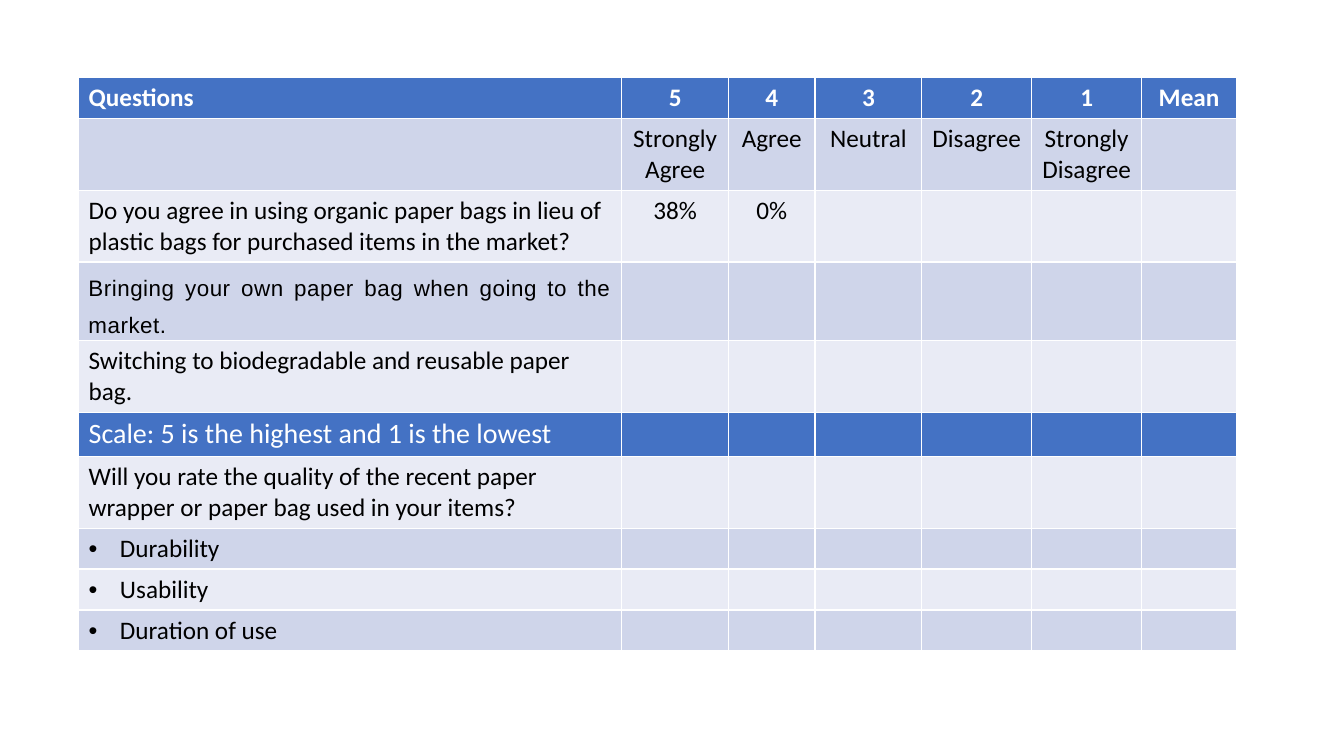
from pptx import Presentation
from pptx.dml.color import RGBColor
from pptx.enum.text import MSO_ANCHOR, PP_ALIGN
from pptx.oxml.ns import qn
from pptx.util import Cm, Pt
from lxml import etree

CENTER, JUSTIFY = PP_ALIGN.CENTER, PP_ALIGN.JUSTIFY
MIDDLE = MSO_ANCHOR.MIDDLE

BLUE, DARK_BAND, LIGHT_BAND = "4472C4", "CFD5EA", "E9EBF5"
BLACK, WHITE = "000000", "FFFFFF"

COL_WIDTHS = [13.69, 2.69, 2.18, 2.69, 2.77, 2.77, 2.39]
ROW_HEIGHT = 1.03
HEADER_ROW, OWN_BAG_ROW, SCALE_ROW, FIRST_BULLET_ROW = 0, 3, 5, 7

ROWS = [
    ["Questions", "5", "4", "3", "2", "1", "Mean"],
    ["", "Strongly\nAgree", "Agree", "Neutral", "Disagree", "Strongly Disagree"],
    ["Do you agree in using organic paper bags in lieu of plastic bags "
     "for purchased items in the market?", "38%", "0%"],
    ["Bringing your own paper bag when going to the market."],
    ["Switching to biodegradable and reusable paper bag."],
    ["Scale: 5 is the highest and 1 is the lowest"],
    ["Will you rate the quality of the recent paper wrapper or paper bag "
     "used in your items?"],
    ["Durability"],
    ["Usability"],
    ["Duration of use"],
]


def rgb(value):
    return RGBColor.from_string(value)


class SlideBuilder:
    font = "Calibri"
    size = 18

    def __init__(self, prs):
        self.slide = prs.slides.add_slide(prs.slide_layouts[6])

    def table(self, left, top, widths, row_count, row_height):
        frame = self.slide.shapes.add_table(
            row_count, len(widths), Cm(left), Cm(top),
            Cm(sum(widths)), Cm(row_count * row_height))
        table = frame.table
        for column, width in zip(table.columns, widths):
            column.width = Cm(width)
        for row in table.rows:
            row.height = Cm(row_height)
        return table

    def cell(self, cell, text, fill, color=BLACK, size=None, bold=False, align=None):
        cell.fill.solid()
        cell.fill.fore_color.rgb = rgb(fill)
        if not text:
            return
        cell.text_frame.text = text
        for p in cell.text_frame.paragraphs:
            p.alignment = align
            for r in p.runs:
                r.font.name = self.font
                r.font.size = Pt(size or self.size)
                r.font.bold = bold
                r.font.color.rgb = rgb(color)

    def bullet(self, cell):
        pPr = cell.text_frame.paragraphs[0]._p.get_or_add_pPr()
        pPr.set("marL", str(Cm(0.79)))
        pPr.set("indent", str(-Cm(0.79)))
        etree.SubElement(pPr, qn("a:buFont")).set("typeface", "Arial")
        etree.SubElement(pPr, qn("a:buChar")).set("char", "•")

    def spaced(self, cell):
        cell.vertical_anchor = MIDDLE
        cell.margin_left = cell.margin_right = Cm(0.25)
        cell.margin_top = cell.margin_bottom = Cm(0.05)
        p = cell.text_frame.paragraphs[0]
        p.alignment = JUSTIFY
        p.line_spacing = 1.5
        r = p.runs[0]
        r.font.name = "Arial"
        r.font.size = Pt(16)
        r._r.get_or_add_rPr().set("spc", "40")


def main():
    prs = Presentation()
    prs.slide_width, prs.slide_height = Cm(33.87), Cm(19.05)
    s = SlideBuilder(prs)

    # Survey table
    table = s.table(1.98, 1.96, COL_WIDTHS, len(ROWS), ROW_HEIGHT)
    for i, texts in enumerate(ROWS):
        is_blue = i in (HEADER_ROW, SCALE_ROW)
        band = DARK_BAND if i % 2 else LIGHT_BAND
        for j in range(len(COL_WIDTHS)):
            s.cell(table.cell(i, j), texts[j] if j < len(texts) else "",
                   fill=BLUE if is_blue else band,
                   color=WHITE if is_blue else BLACK,
                   size=20 if i == SCALE_ROW else None,
                   bold=i == HEADER_ROW,
                   align=CENTER if j else None)

    # Rows with their own paragraph style
    s.spaced(table.cell(OWN_BAG_ROW, 0))
    for i in range(FIRST_BULLET_ROW, len(ROWS)):
        s.bullet(table.cell(i, 0))

    prs.save("out.pptx")


if __name__ == "__main__":
    main()
